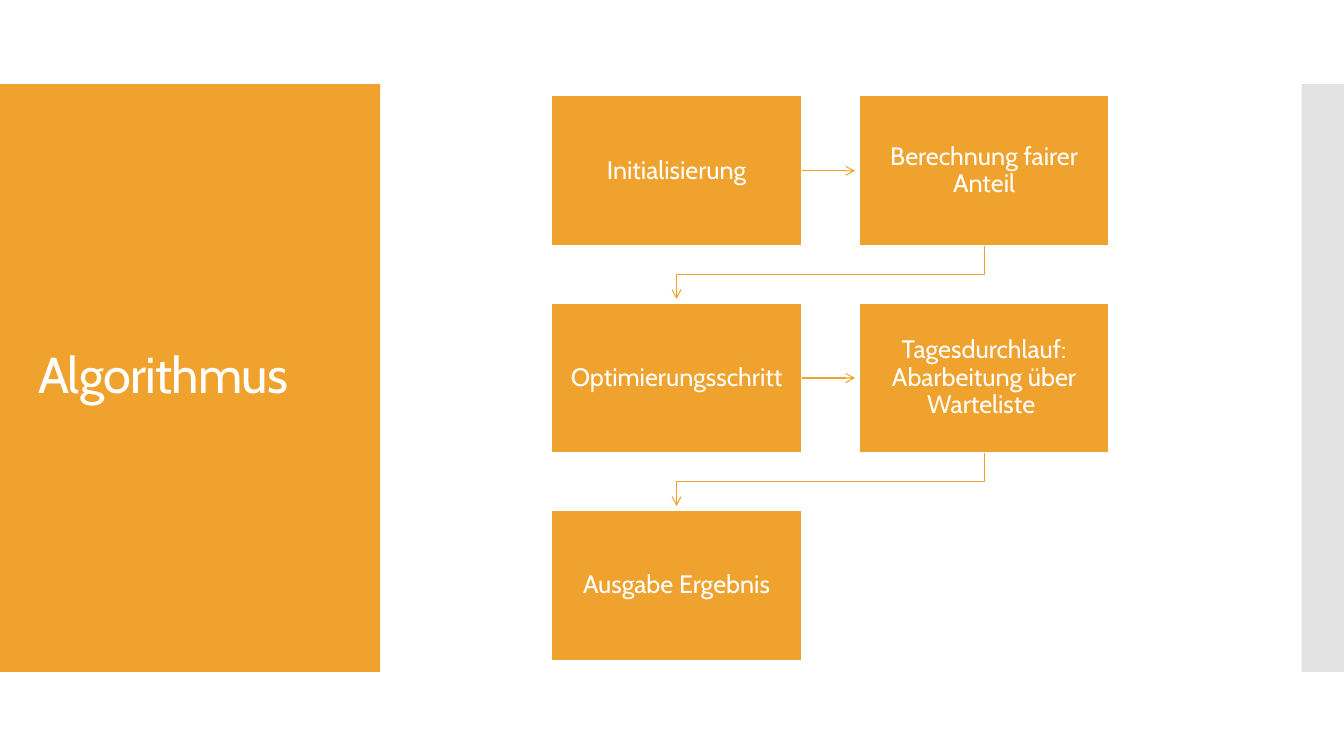
from dataclasses import dataclass

from lxml import etree
from pptx import Presentation
from pptx import util as u
from pptx.dml.color import RGBColor
from pptx.enum import shapes, text
from pptx.oxml.ns import qn


@dataclass(frozen=True)
class Theme:
    accent: str = "F0A22E"
    grey: str = "C8C8C8"
    white: str = "FFFFFF"
    font: str = "Cabin"
    title_size: float = 36
    step_size: float = 18
    arrow_width: float = 0.75
    border_width: float = 0.85


T = Theme()
WIDTH, HEIGHT = u.Inches(13.33), u.Inches(7.5)

# Side panels, as shares of the slide
BAND_TOP, BAND_HEIGHT = HEIGHT / 9, HEIGHT * 7 / 9
TITLE_PANEL, EDGE_PANEL = 3.77, 0.42

# Flow grid, in inches
COLUMNS = 2
GRID_LEFT, GRID_TOP = 5.47, 0.95
COLUMN_PITCH, ROW_PITCH = 3.05, 4.11 / 2
BOX_WIDTH, BOX_HEIGHT = 2.48, 1.49
BOX_INSET = 0.14
ARROW_GAP = 0.04

STEPS = [
    "Initialisierung",
    "Berechnung fairer Anteil",
    "Optimierungsschritt",
    "Tagesdurchlauf: Abarbeitung über Warteliste ",
    "Ausgabe Ergebnis",
]


def add_rect(s, left, top, width, height, fill, border=None, alpha=None):
    sp = s.shapes.add_shape(shapes.MSO_SHAPE.RECTANGLE,
                            *(int(v) for v in (left, top, width, height)))
    sp.shadow.inherit = False
    sp.fill.solid()
    sp.fill.fore_color.rgb = RGBColor.from_string(fill)
    if alpha is not None:
        color = sp._element.spPr.find(".//" + qn("a:srgbClr"))
        etree.SubElement(color, qn("a:alpha")).set("val", str(alpha * 1000))
    if border:
        sp.line.color.rgb = RGBColor.from_string(border)
        sp.line.width = u.Pt(T.border_width)
    else:
        sp.line.fill.background()
    return sp


def write(sp, content, size, align=text.PP_ALIGN.LEFT, inset=None, spacing=None):
    tf = sp.text_frame
    tf.word_wrap = True
    tf.vertical_anchor = text.MSO_ANCHOR.MIDDLE
    if inset is not None:
        tf.margin_left = tf.margin_right = u.Inches(inset)
        tf.margin_top = tf.margin_bottom = u.Inches(inset)
    p = tf.paragraphs[0]
    p.alignment = align
    p.line_spacing = 0.9
    r = p.add_run()
    r.text = content
    r.font.name = T.font
    r.font.size = u.Pt(size)
    r.font.color.rgb = RGBColor.from_string(T.white)
    if spacing is not None:
        r._r.get_or_add_rPr().set("spc", str(round(spacing * 100)))


def style_arrow(sp):
    sp.line.color.rgb = RGBColor.from_string(T.accent)
    sp.line.width = u.Pt(T.arrow_width)
    etree.SubElement(sp.line._get_or_add_ln(), qn("a:tailEnd")).set("type", "arrow")


def add_step(s, index, label):
    row, column = divmod(index, COLUMNS)
    box = add_rect(s, u.Inches(GRID_LEFT + column * COLUMN_PITCH),
                   u.Inches(GRID_TOP + row * ROW_PITCH),
                   u.Inches(BOX_WIDTH), u.Inches(BOX_HEIGHT), T.accent, T.white)
    write(box, label, T.step_size, text.PP_ALIGN.CENTER, BOX_INSET)
    return box


def add_straight_arrow(s, start, end):
    y = start.top + start.height // 2
    line = s.shapes.add_connector(shapes.MSO_CONNECTOR.STRAIGHT,
                                  start.left + start.width, y,
                                  end.left - u.Inches(ARROW_GAP), y)
    line.begin_connect(start, 3)
    style_arrow(line)
    etree.SubElement(line._element.spPr, qn("a:effectLst"))


def add_return_arrow(s, start, end):
    x1, x2 = (box.left + box.width // 2 for box in (start, end))
    y1 = start.top + start.height
    bend = (y1 + end.top) // 2
    fb = s.shapes.build_freeform(x1, y1)
    fb.add_line_segments([(x1, bend), (x2, bend),
                          (x2, end.top - u.Inches(ARROW_GAP))], close=False)
    sp = fb.convert_to_shape()
    sp.shadow.inherit = False
    sp.fill.background()
    style_arrow(sp)


def main():
    prs = Presentation()
    prs.slide_width, prs.slide_height = WIDTH, HEIGHT
    s = prs.slides.add_slide(prs.slide_layouts[6])

    # Side panels
    add_rect(s, 0, BAND_TOP, u.Inches(TITLE_PANEL), BAND_HEIGHT, T.accent)
    edge = u.Inches(EDGE_PANEL)
    add_rect(s, WIDTH - edge, BAND_TOP, edge, BAND_HEIGHT, T.grey, alpha=50)

    # Title
    title = s.shapes.add_textbox(u.Inches(0.28), u.Inches(1.23),
                                 u.Inches(3.22), u.Inches(5.03))
    write(title, "Algorithmus", T.title_size, spacing=-0.6)

    # Steps, then the arrows between neighbours
    boxes = [add_step(s, i, label) for i, label in enumerate(STEPS)]
    for start, end in zip(boxes, boxes[1:]):
        same_row = start.top == end.top
        (add_straight_arrow if same_row else add_return_arrow)(s, start, end)

    prs.save("out.pptx")


if __name__ == "__main__":
    main()
